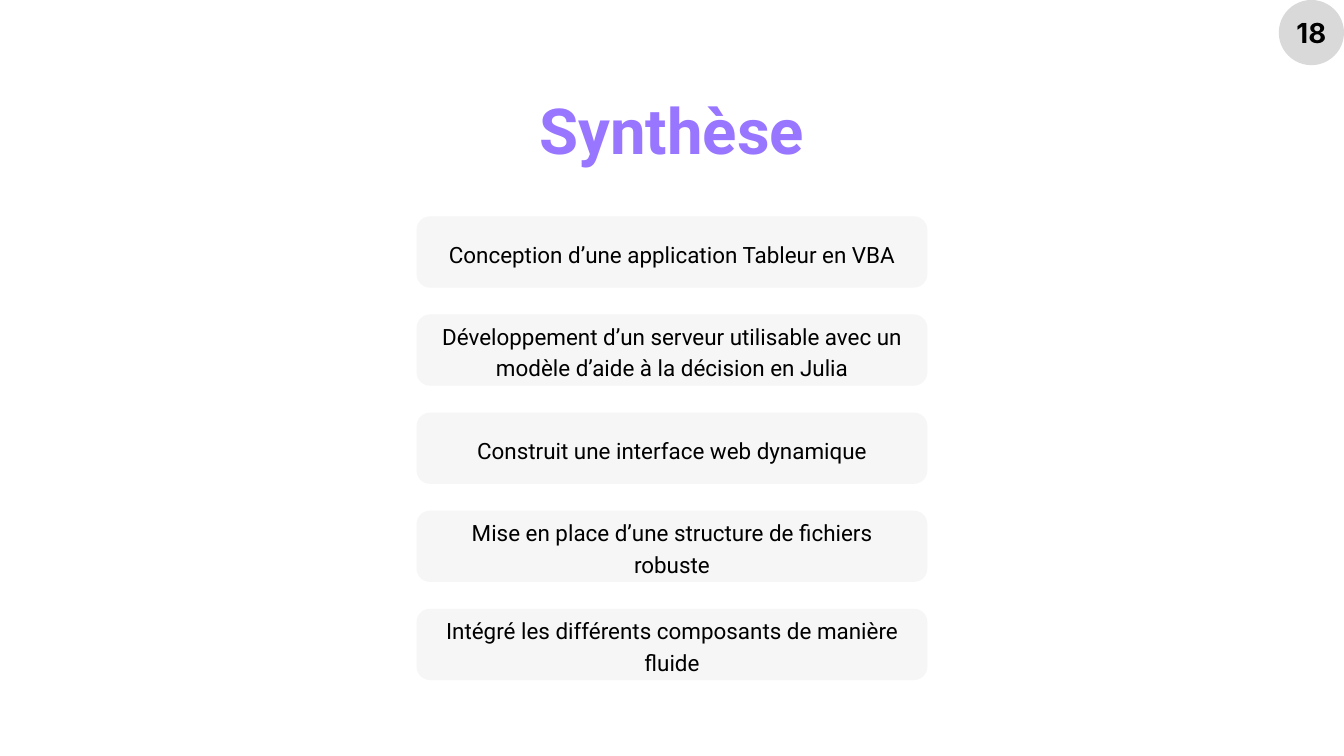
from lxml import etree
from pptx import Presentation
from pptx.dml.color import RGBColor
from pptx.enum.shapes import MSO_SHAPE
from pptx.enum.text import MSO_ANCHOR, MSO_AUTO_SIZE, PP_ALIGN
from pptx.oxml.ns import qn
from pptx.util import Inches, Pt

ROUND, OVAL = MSO_SHAPE.ROUNDED_RECTANGLE, MSO_SHAPE.OVAL
TOP, MIDDLE = MSO_ANCHOR.TOP, MSO_ANCHOR.MIDDLE
CENTER, FIXED = PP_ALIGN.CENTER, MSO_AUTO_SIZE.NONE

LEFT, WIDTH = 6.2, 7.6
FIRST, STEP, HEIGHT, RADIUS = 3.22, 1.46, 1.06, 0.2
POINTS = [
    "Conception d’une application Tableur en VBA",
    "Développement d’un serveur utilisable avec un modèle d’aide à la décision en Julia",
    "Construit une interface web dynamique",
    "Mise en place d’une structure de fichiers robuste",
    "Intégré les différents composants de manière fluide",
]


def color(code):
    return RGBColor.from_string(code)


class Deck:
    ACCENT, INK, CARD, BADGE = "9976FF", "000000", "F1F1F1", "D9D9D9"
    FONT, DIGITS = "Roboto", "Inter"

    def __init__(self, slide):
        self.slide = slide

    def label(self, shape, text, size, line, font=FONT, ink=INK, bold=False,
              anchor=MIDDLE, side=0, bottom=0):
        frame = shape.text_frame
        frame.text = text
        frame.word_wrap = True
        frame.auto_size = FIXED
        frame.vertical_anchor = anchor
        frame.margin_left = frame.margin_right = Inches(side)
        frame.margin_top, frame.margin_bottom = 0, Inches(bottom)
        para = frame.paragraphs[0]
        para.alignment = CENTER
        para.line_spacing = Pt(line)
        para.font.name, para.font.size = font, Pt(size)
        para.font.bold = bold
        para.font.color.rgb = color(ink)

    def shape(self, kind, left, top, width, height, fill):
        item = self.slide.shapes.add_shape(
            kind, Inches(left), Inches(top), Inches(width), Inches(height))
        item.shadow.inherit = False
        item.fill.solid()
        item.fill.fore_color.rgb = color(fill)
        item.line.fill.background()
        return item

    def title(self, text):
        item = self.slide.shapes.title
        item.left, item.top = Inches(LEFT), Inches(1.35)
        item.width, item.height = Inches(WIDTH), Inches(1.15)
        self.label(item, text, 68, 81.6, ink=self.ACCENT, bold=True, anchor=TOP)

    def card(self, top, text):
        item = self.shape(ROUND, LEFT, top, WIDTH, HEIGHT, self.CARD)
        item.adjustments[0] = RADIUS / HEIGHT
        tint = item.element.spPr.find(qn("a:solidFill")).find(qn("a:srgbClr"))
        etree.SubElement(tint, qn("a:alpha")).set("val", "64000")
        self.label(item, text, 24, 33.6, side=0.31)

    def badge(self, text):
        item = self.shape(OVAL, 19.03, 0, 0.97, 0.97, self.BADGE)
        self.label(item, text, 29.5, 41.3, font=self.DIGITS, bold=True, bottom=0.08)


def main():
    prs = Presentation()
    prs.slide_width, prs.slide_height = Inches(20), Inches(11.25)
    deck = Deck(prs.slides.add_slide(prs.slide_layouts[5]))
    deck.title("Synthèse")
    for row, text in enumerate(POINTS):
        deck.card(FIRST + row * STEP, text)
    deck.badge("18")
    prs.save("out.pptx")


if __name__ == "__main__":
    main()
